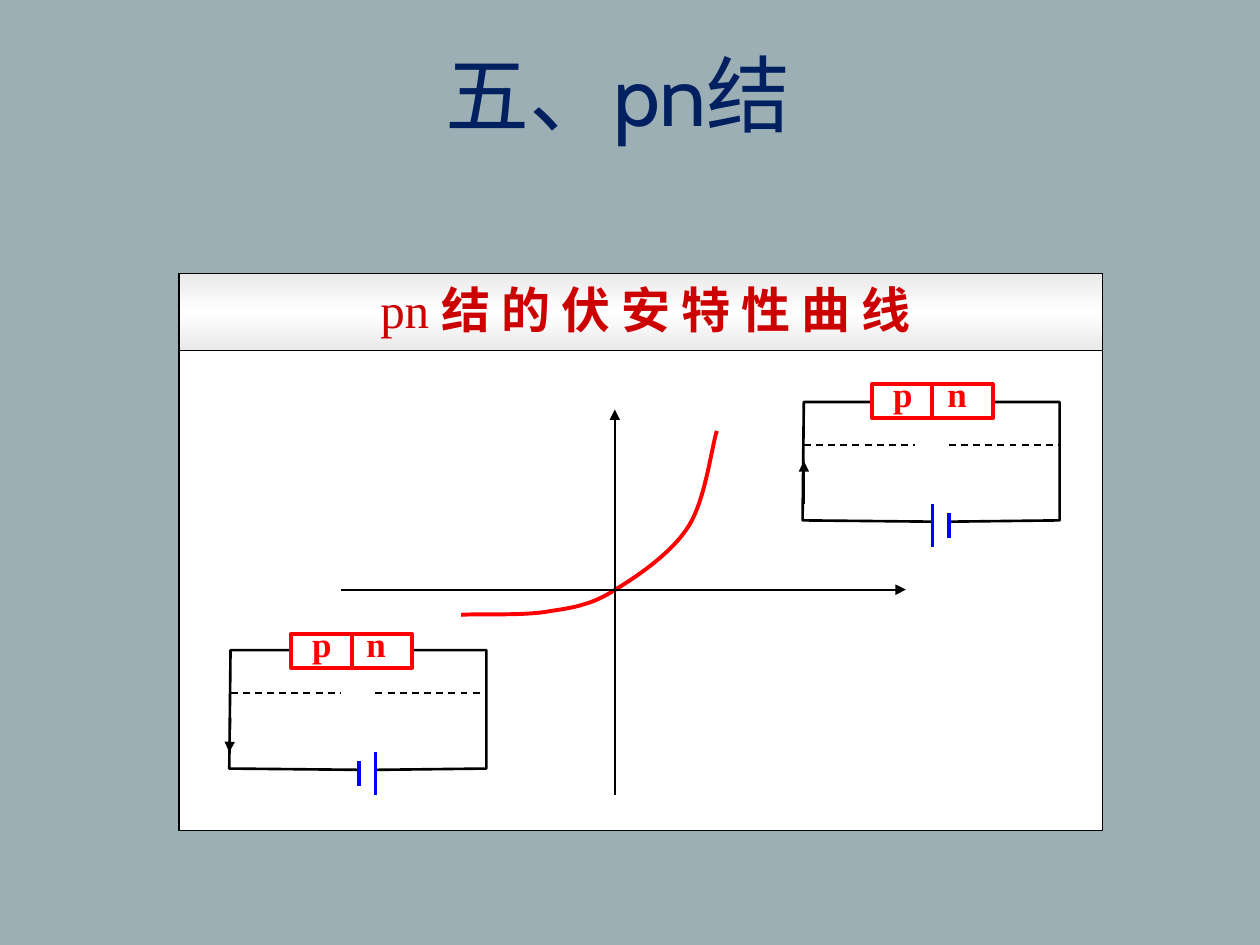
import copy
from dataclasses import dataclass

import pptx
import pptx.dml.color
import pptx.enum.dml
import pptx.enum.shapes
import pptx.enum.text
import pptx.oxml
import pptx.oxml.ns
import pptx.util

Point = tuple[float, float]
Box = tuple[float, float, float, float]

# The slide is a grid of 100 columns by 75 rows
COLUMNS, ROWS = 100, 75
SLIDE_WIDTH, SLIDE_HEIGHT = pptx.util.Inches(10), pptx.util.Inches(7.5)
BLACK, WHITE, RED, BLUE = "000000", "FFFFFF", "FF0000", "0000FF"
NAVY, CRIMSON, SILVER, BACKDROP = "002060", "CC0000", "EAEAEA", "9BAFB5"


@dataclass(frozen=True)
class Circuit:
    """A biased pn junction; lengths are columns and rows from the loop's corner."""
    left: float
    top: float
    junction: Point
    long_plate_x: float
    short_plate_x: float
    current: tuple[Point, Point]


FORWARD = Circuit(63.7, 31.9, (5.5, -1.4), 10.3, 11.6, ((0.1, 8.1), (0.1, 4.7)))
REVERSE = Circuit(18.2, 51.6, (4.9, -1.3), 11.6, 10.3, ((0.1, 5.4), (0, 8.1)))


def rgb(colour: str) -> pptx.dml.color.RGBColor:
    return pptx.dml.color.RGBColor.from_string(colour)


def x_at(column: float) -> int:
    return round(SLIDE_WIDTH * column / COLUMNS)


def y_at(row: float) -> int:
    return round(SLIDE_HEIGHT * row / ROWS)


def place(box: Box) -> tuple[int, int, int, int]:
    left, top, width, height = box
    return x_at(left), y_at(top), x_at(width), y_at(height)


def set_line(line, colour: str, width: float) -> None:
    line.color.rgb = rgb(colour)
    line.width = pptx.util.Pt(width)


def draw_rect(shapes, box: Box, colour: str, width: float):
    rect = shapes.add_shape(pptx.enum.shapes.MSO_SHAPE.RECTANGLE, *place(box))
    rect.shadow.inherit = False
    rect.fill.solid()
    rect.fill.fore_color.rgb = rgb(WHITE)
    set_line(rect.line, colour, width)
    return rect


def draw_line(shapes, start: Point, end: Point, colour: str = BLACK,
              width: float = 1, dashed: bool = False, arrow: bool = False) -> None:
    line = shapes.add_connector(pptx.enum.shapes.MSO_CONNECTOR.STRAIGHT,
                                x_at(start[0]), y_at(start[1]), x_at(end[0]), y_at(end[1]))
    set_line(line.line, colour, width)
    properties = line._element.spPr
    if dashed:
        line.line.dash_style = pptx.enum.dml.MSO_LINE.DASH
    if arrow:
        head = pptx.oxml.parse_xml(
            f'<a:tailEnd {pptx.oxml.ns.nsdecls("a")} type="triangle"/>')
        properties.find(pptx.oxml.ns.qn("a:ln")).append(head)
    properties.append(pptx.oxml.parse_xml(f'<a:effectLst {pptx.oxml.ns.nsdecls("a")}/>'))


def draw_outline(shapes, points: list[Point], colour: str, width: float) -> None:
    corners = [(x_at(x), y_at(y)) for x, y in points]
    builder = shapes.build_freeform(*corners[0])
    builder.add_line_segments(corners[1:], close=False)
    outline = builder.convert_to_shape()
    outline.shadow.inherit = False
    outline.fill.background()
    set_line(outline.line, colour, width)


def add_run(paragraph, text: str, colour: str, **formats) -> None:
    run = paragraph.add_run()
    run.text = text
    run.font.color.rgb = rgb(colour)
    for name, value in formats.items():
        setattr(run.font, name, value)


def add_text_box(shapes, box: Box):
    frame = shapes.add_textbox(*place(box)).text_frame
    frame.word_wrap = True
    return frame.paragraphs[0]


def smooth(start: Point, curves: list[tuple[Point, Point, Point]], steps: int = 16) -> list[Point]:
    """Follow a chain of cubic Bezier curves."""
    points = [start]
    for first, second, end in curves:
        begin = points[-1]
        for step in range(1, steps + 1):
            t = step / steps
            weights = ((1 - t) ** 3, 3 * t * (1 - t) ** 2, 3 * t ** 2 * (1 - t), t ** 3)
            points.append(tuple(sum(w * p[axis] for w, p in zip(weights, (begin, first, second, end)))
                                for axis in (0, 1)))
    return points


def draw_circuit(shapes, circuit: Circuit) -> None:
    def at(x: float, y: float) -> Point:
        return circuit.left + x, circuit.top + y

    # Wire loop and battery
    wire = [(10.3, 9.5), (0, 9.4), (0.1, 0), (20.4, 0), (20.4, 9.4), (11.7, 9.5)]
    draw_outline(shapes, [at(*corner) for corner in wire], BLACK, 1.5)
    for x, top, bottom, width in ((circuit.long_plate_x, 8.1, 11.5, 1.5),
                                  (circuit.short_plate_x, 8.8, 10.8, 2.25)):
        draw_line(shapes, at(x, top), at(x, bottom), BLUE, width)

    # Junction halves and their labels
    left, top = at(*circuit.junction)
    half = 4.8
    for side in range(2):
        draw_rect(shapes, (left + side * half, top, half, 2.7), RED, 2.25)
    labels = add_text_box(shapes, (left + 0.7, top - 1.4, 15.6, 4.3))
    labels._p.get_or_add_pPr().append(pptx.oxml.parse_xml(
        f'<a:tabLst {pptx.oxml.ns.nsdecls("a")}><a:tab pos="{x_at(4.3)}" algn="l"/></a:tabLst>'))
    add_run(labels, "p\tn", RED, name="Times New Roman", size=pptx.util.Pt(20), bold=True)

    # Voltage marks and current direction
    for start, end in ((0.1, 8.9), (11.6, 20.4)):
        draw_line(shapes, at(start, 3.4), at(end, 3.4), dashed=True)
    tail, tip = circuit.current
    draw_line(shapes, at(*tail), at(*tip), arrow=True)


def main() -> None:
    deck = pptx.Presentation()
    deck.slide_width, deck.slide_height = SLIDE_WIDTH, SLIDE_HEIGHT
    slide = deck.slides.add_slide(deck.slide_layouts[5])
    shapes = slide.shapes
    slide.background.fill.solid()
    slide.background.fill.fore_color.rgb = rgb(BACKDROP)

    # Title
    title = shapes.title
    title.left, title.top, title.width, title.height = place((-3, 2.9, 104.1, 9.1))
    title.text_frame.vertical_anchor = pptx.enum.text.MSO_ANCHOR.TOP
    heading = title.text_frame.paragraphs[0]
    heading.alignment = pptx.enum.text.PP_ALIGN.CENTER
    add_run(heading, "五、pn结", NAVY, name="Cabin", size=pptx.util.Pt(48))

    # Panel with a shaded caption band
    draw_rect(shapes, (14.2, 21.7, 73.3, 44.2), BLACK, 0.75)
    band = draw_rect(shapes, (14.2, 21.7, 73.3, 6.1), BLACK, 0.75)
    band.fill.gradient()
    band.fill.gradient_angle = 90
    stop_list = next(band._element.spPr.iter(pptx.oxml.ns.qn("a:gsLst")))
    stop_list.insert(1, copy.deepcopy(stop_list[0]))
    for stop, position, colour in zip(band.fill.gradient_stops, (0, 0.5, 1), (SILVER, WHITE, SILVER)):
        stop.position = position
        stop.color.rgb = rgb(colour)

    # Current-voltage curve
    curve = smooth((56.9, 34.2), [((56.5, 35.4), (56, 39.6), (54.7, 41.7)),
                                  ((53.4, 43.8), (50.8, 45.6), (49, 46.7)),
                                  ((47.2, 47.9), (45.8, 48.2), (43.7, 48.5)),
                                  ((41.7, 48.9), (38.1, 48.7), (36.6, 48.8))])
    draw_outline(shapes, curve, RED, 2.25)

    for circuit in (FORWARD, REVERSE):
        draw_circuit(shapes, circuit)

    # Axes
    draw_line(shapes, (27.1, 46.8), (71.9, 46.8), arrow=True)
    draw_line(shapes, (48.8, 63.1), (48.8, 32.5), arrow=True)

    # Caption
    caption = add_text_box(shapes, (29.2, 21.7, 52.3, 5.7))
    size = pptx.util.Pt(28)
    add_run(caption, "pn ", CRIMSON, name="Times New Roman", size=size)
    add_run(caption, "结 的 伏 安 特 性 曲 线", CRIMSON, name="Arial", size=size, bold=True)

    deck.save("out.pptx")


if __name__ == "__main__":
    main()
